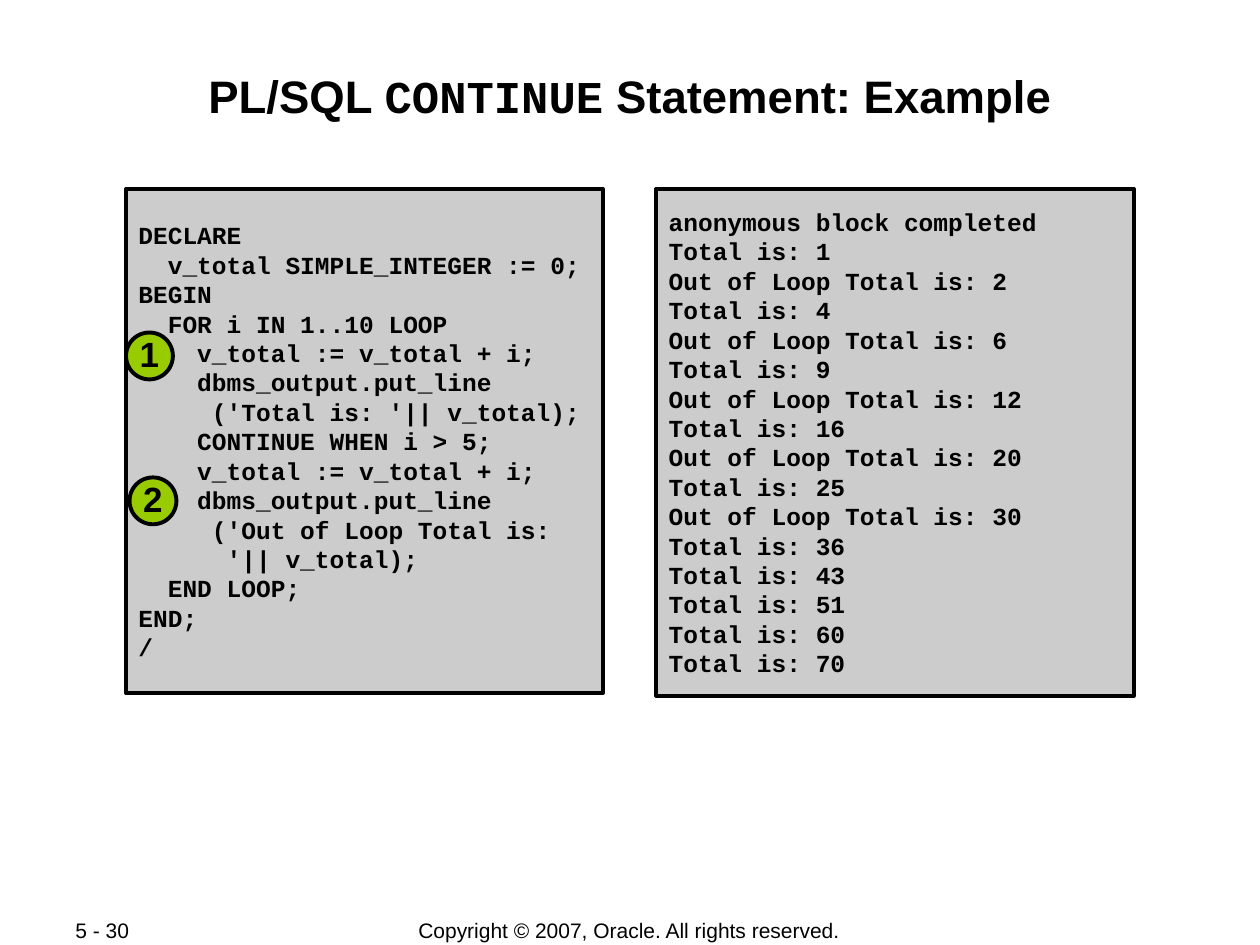
from pptx import Presentation
from pptx.dml.color import RGBColor
from pptx.enum.shapes import MSO_SHAPE
from pptx.enum.text import MSO_ANCHOR, PP_ALIGN
from pptx.util import Pt

BLACK, GREY, GREEN = "000000", "CCCCCC", "99CC00"
SANS, MONO = "Arial", "Courier New"

CODE = """DECLARE
  v_total SIMPLE_INTEGER := 0;
BEGIN
  FOR i IN 1..10 LOOP
    v_total := v_total + i;
    dbms_output.put_line
     ('Total is: '|| v_total);
    CONTINUE WHEN i > 5;
    v_total := v_total + i;
    dbms_output.put_line
     ('Out of Loop Total is:
      '|| v_total);
  END LOOP;
END;
/"""

OUTPUT = """anonymous block completed
Total is: 1
Out of Loop Total is: 2
Total is: 4
Out of Loop Total is: 6
Total is: 9
Out of Loop Total is: 12
Total is: 16
Out of Loop Total is: 20
Total is: 25
Out of Loop Total is: 30
Total is: 36
Total is: 43
Total is: 51
Total is: 60
Total is: 70"""


def rgb(value):
    return RGBColor.from_string(value)


def set_font(font, size, name, bold=False):
    font.size = Pt(size)
    font.name = name
    font.bold = bold
    font.color.rgb = rgb(BLACK)


def set_frame(tf, across, down, wrap=True, anchor=MSO_ANCHOR.MIDDLE):
    tf.margin_left = tf.margin_right = Pt(across)
    tf.margin_top = tf.margin_bottom = Pt(down)
    tf.word_wrap = wrap
    tf.vertical_anchor = anchor


def add_box(s, kind, box, fill):
    sp = s.shapes.add_shape(kind, *map(Pt, box))
    sp.shadow.inherit = False
    sp.fill.solid()
    sp.fill.fore_color.rgb = rgb(fill)
    sp.line.color.rgb = rgb(BLACK)
    sp.line.width = Pt(2.25)
    return sp


def add_title(s, box):
    tf = s.shapes.add_textbox(*map(Pt, box)).text_frame
    set_frame(tf, 0.72, 0.72, anchor=MSO_ANCHOR.TOP)
    p = tf.paragraphs[0]
    p.alignment = PP_ALIGN.CENTER
    for text, name in (("PL/SQL ", SANS), ("CONTINUE", MONO),
                       (" Statement: Example", SANS)):
        r = p.add_run()
        r.text = text
        set_font(r.font, 26, name, True)


def add_listing(s, box, text):
    tf = add_box(s, MSO_SHAPE.RECTANGLE, box, GREY).text_frame
    set_frame(tf, 7.2, 0.72)
    tf.text = text
    for p in tf.paragraphs:
        p.alignment = PP_ALIGN.LEFT
        pPr = p._p.get_or_add_pPr()
        pPr.set("marL", str(Pt(36)))
        pPr.set("indent", str(-Pt(36)))
        set_font(p.font, 14, MONO, True)


def add_badge(s, box, text):
    tf = add_box(s, MSO_SHAPE.OVAL, box, GREEN).text_frame
    set_frame(tf, 3.6, 3.6, wrap=False)
    tf.text = text
    p = tf.paragraphs[0]
    p.alignment = PP_ALIGN.CENTER
    p.line_spacing = 0.95
    set_font(p.font, 20, SANS, True)


def add_footer(s, box, text, align):
    tf = s.shapes.add_textbox(*map(Pt, box)).text_frame
    set_frame(tf, 7.2, 3.6, wrap=align == PP_ALIGN.LEFT)
    tf.text = text
    p = tf.paragraphs[0]
    p.alignment = align
    set_font(p.font, 12, SANS)


def main():
    prs = Presentation()
    prs.slide_width, prs.slide_height = Pt(720), Pt(540)
    s = prs.slides.add_slide(prs.slide_layouts[6])
    add_footer(s, (198, 524, 323, 15), "Copyright © 2007, Oracle. All rights reserved.",
               PP_ALIGN.CENTER)
    add_footer(s, (36, 524, 76, 15), "5 - 30", PP_ALIGN.LEFT)
    add_title(s, (48, 38, 624, 66))
    add_listing(s, (72, 108, 272.5, 288), CODE)
    add_badge(s, (72, 190, 26.8, 26.8), "1")
    add_badge(s, (74, 272.8, 26.8, 26.8), "2")
    add_listing(s, (375, 108, 273, 289.5), OUTPUT)
    prs.save("out.pptx")


if __name__ == "__main__":
    main()
